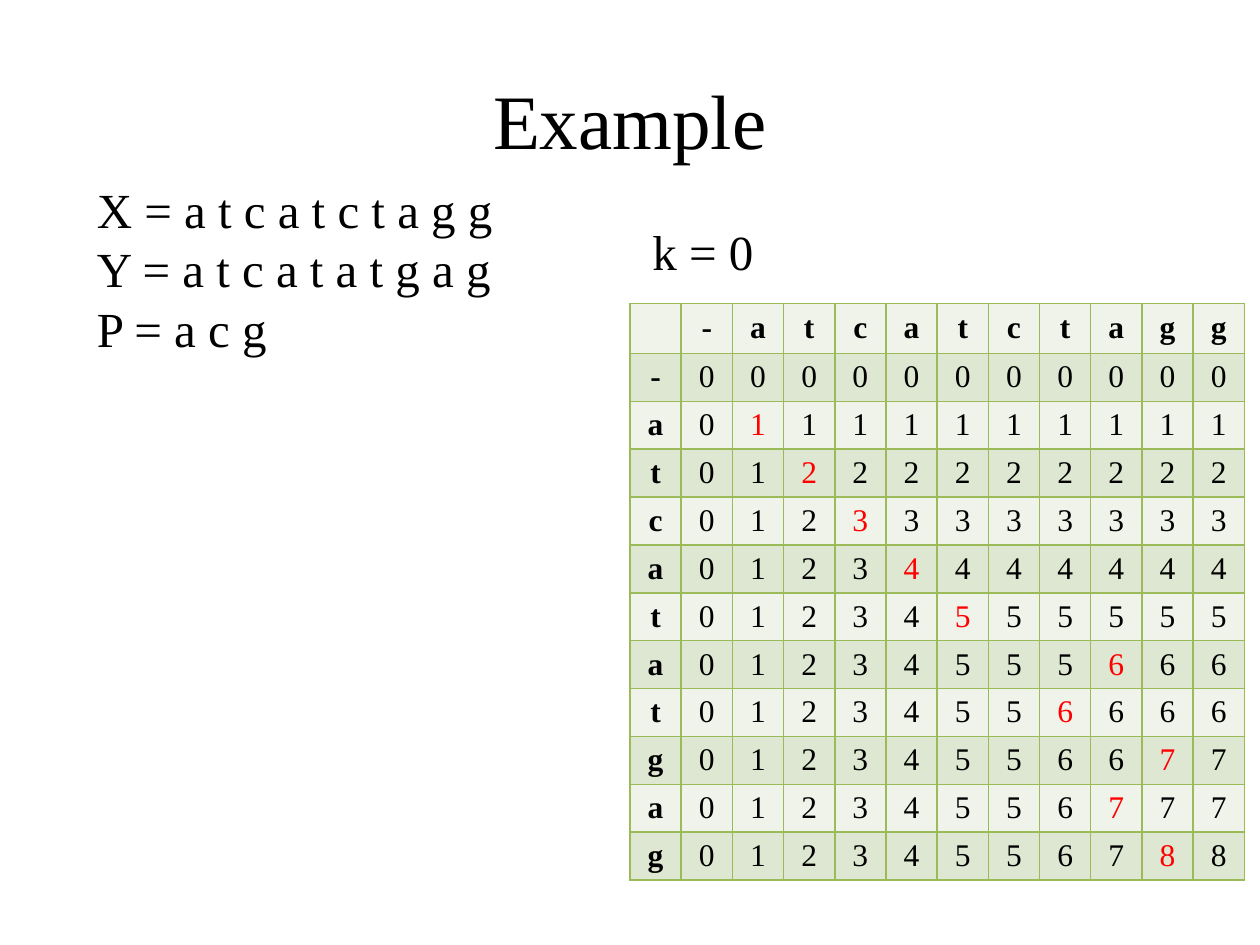
"""Build the slide with the k = 0 table for two sequences and a pattern."""
import lxml.etree
import pptx
import pptx.dml.color
import pptx.enum.text
import pptx.oxml.ns
import pptx.util

Inches = pptx.util.Inches
Pt = pptx.util.Pt
RGBColor = pptx.dml.color.RGBColor

FONT = "Times New Roman"
BLACK = RGBColor(0x00, 0x00, 0x00)
RED = RGBColor(0xFF, 0x00, 0x00)
BORDER_GREEN = RGBColor(0x9B, 0xBB, 0x59)
BAND_FILLS = (RGBColor(0xEF, 0xF3, 0xEA), RGBColor(0xDE, 0xE7, 0xD1))

COLUMN_LABELS = "-atcatctagg"
ROW_LABELS = "-atcatatgag"
SCORES = (
    "00000000000",
    "01111111111",
    "01222222222",
    "01233333333",
    "01234444444",
    "01234555555",
    "01234555666",
    "01234556666",
    "01234556677",
    "01234556777",
    "01234556788",
)
MATCH_COLUMNS = (None, 1, 2, 3, 4, 5, 8, 7, 9, 8, 9)


def format_runs(para, size, color=BLACK, bold=False):
    """Apply the slide font to every run of a paragraph."""
    for span in para.runs:
        span.font.name = FONT
        span.font.size = Pt(size)
        span.font.bold = bold
        span.font.color.rgb = color


def add_title(page, text):
    """Fill and place the title placeholder."""
    title = page.shapes.title
    title.left, title.top = Inches(0.5), Inches(0.32)
    title.width, title.height = Inches(9), Inches(1.25)
    title.text_frame.text = text
    title.text_frame.vertical_anchor = pptx.enum.text.MSO_ANCHOR.MIDDLE
    para = title.text_frame.paragraphs[0]
    para.alignment = pptx.enum.text.PP_ALIGN.CENTER
    format_runs(para, 44)


def add_label(page, text, left, top, width, height):
    """Add an unwrapped text box that fits its text."""
    box = page.shapes.add_textbox(Inches(left), Inches(top), Inches(width), Inches(height))
    frame = box.text_frame
    frame.word_wrap = False
    frame.auto_size = pptx.enum.text.MSO_AUTO_SIZE.SHAPE_TO_FIT_TEXT
    frame.text = text
    para = frame.paragraphs[0]
    para.line_spacing = Pt(34)
    format_runs(para, 28)


def add_borders(cell):
    """Draw a thin green line on all four sides of a cell."""
    qn = pptx.oxml.ns.qn
    properties = cell._tc.get_or_add_tcPr()
    for side in ("a:lnL", "a:lnR", "a:lnT", "a:lnB"):
        line = lxml.etree.SubElement(properties, qn(side), w=str(Pt(1)))
        fill = lxml.etree.SubElement(line, qn("a:solidFill"))
        lxml.etree.SubElement(fill, qn("a:srgbClr"), val=str(BORDER_GREEN))


def fill_cell(cell, text, band, color, bold):
    """Write one centred table cell with its fill and borders."""
    add_borders(cell)
    cell.fill.solid()
    cell.fill.fore_color.rgb = BAND_FILLS[band]
    cell.margin_bottom = Inches(0.04)
    cell.text_frame.text = text
    para = cell.text_frame.paragraphs[0]
    para.alignment = pptx.enum.text.PP_ALIGN.CENTER
    format_runs(para, 18, color, bold)


def add_score_table(page):
    """Add the score table with headings and red matches."""
    rows = [["", *COLUMN_LABELS]]
    rows += [[label, *scores] for label, scores in zip(ROW_LABELS, SCORES)]
    matches = {(row + 1, column + 1)
               for row, column in enumerate(MATCH_COLUMNS) if column is not None}
    table = page.shapes.add_table(len(rows), len(rows[0]), Inches(5), Inches(2.41),
                                  Inches(4.88), Inches(4.56)).table
    table.first_row = False
    table.horz_banding = False
    for row, texts in enumerate(rows):
        for column, text in enumerate(texts):
            color = RED if (row, column) in matches else BLACK
            heading = row == 0 or column == 0
            fill_cell(table.cell(row, column), text, row % 2, color, heading)


def main():
    """Build and save the deck."""
    deck = pptx.Presentation()
    deck.slide_width, deck.slide_height = Inches(10), Inches(7.5)
    page = deck.slides.add_slide(deck.slide_layouts[5])
    add_title(page, "Example")
    add_score_table(page)
    sequences = ("X = a t c a t c t a g g", "Y = a t c a t a t g a g", "P = a c g")
    add_label(page, "\v".join(sequences), 0.67, 1.37, 3.37, 1.51)
    add_label(page, "k = 0", 5.08, 1.7, 1.01, 0.57)
    deck.save("out.pptx")


if __name__ == "__main__":
    main()
